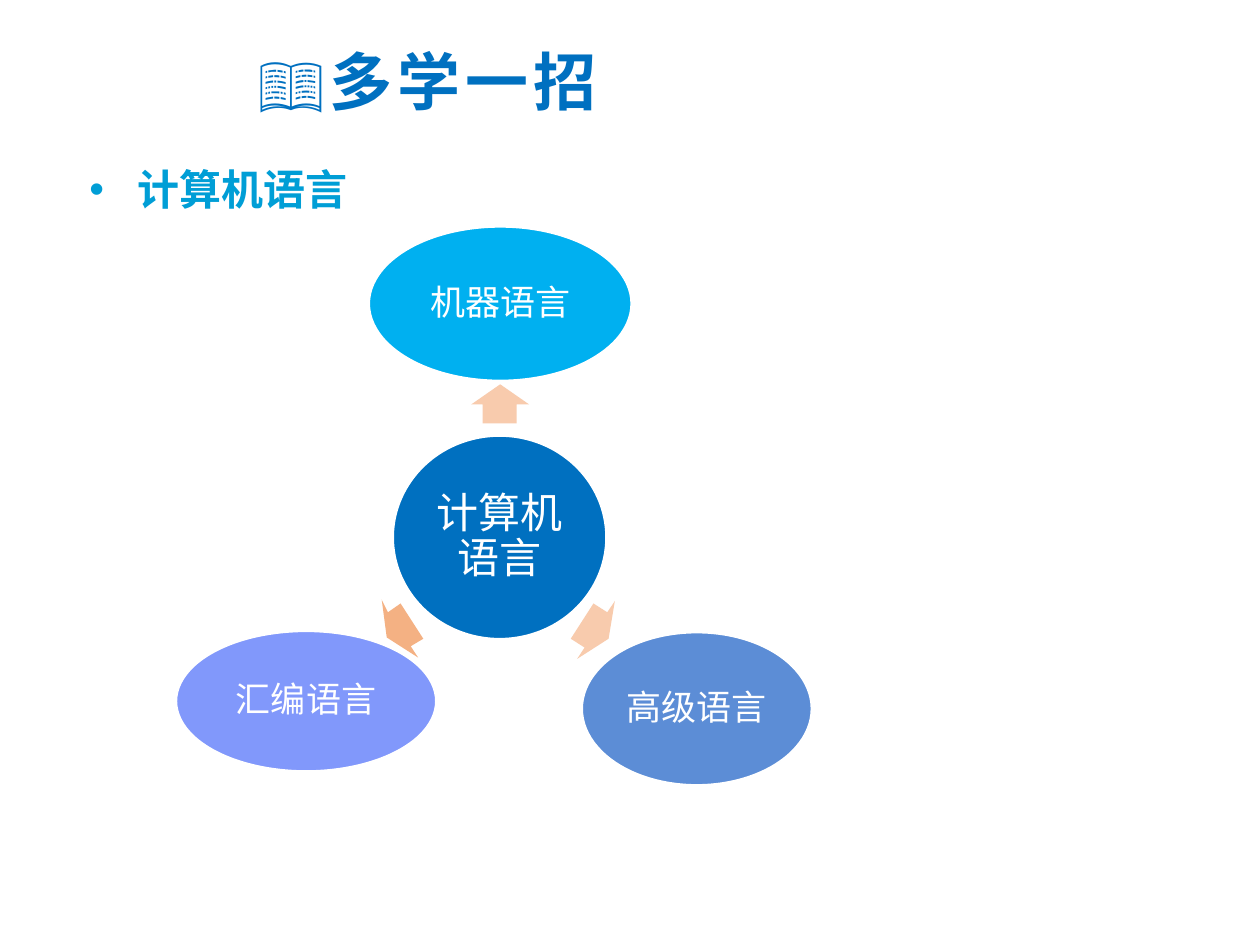
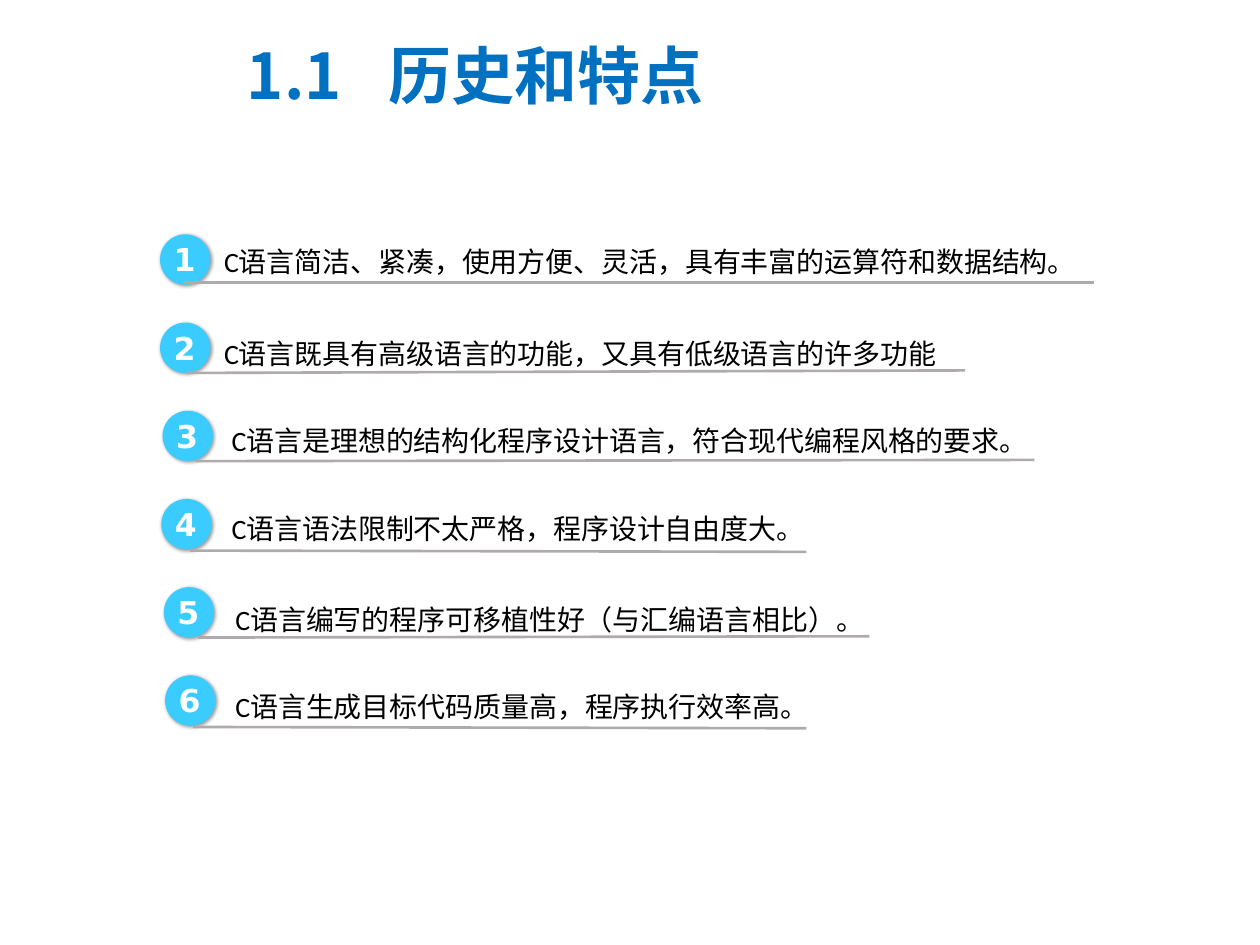
"""Build two slides on computer languages and the traits of the C language."""
import dataclasses
import typing

import lxml.etree
import pptx
import pptx.dml.color
import pptx.enum.shapes
import pptx.enum.text
import pptx.oxml.ns
import pptx.slide
import pptx.text.text
import pptx.util

Inches = pptx.util.Inches
Align = pptx.enum.text.PP_ALIGN
Anchor = pptx.enum.text.MSO_ANCHOR
Oval = pptx.enum.shapes.MSO_SHAPE.OVAL
Point = typing.Tuple[float, float]


@dataclasses.dataclass(frozen=True)
class Theme:
    title: str = "0070C0"
    topic: str = "009ED6"
    white: str = "FFFFFF"
    ink: str = "000000"
    disc: str = "3BCCFF"
    rule: str = "AFABAB"
    hub: str = "0070C0"
    machine: str = "00B0F0"
    high_level: str = "5C8DD6"
    assembly: str = "8198FB"
    arrow: str = "F8CBAD"
    arrow_dark: str = "F4B183"
    cjk: str = "Noto Sans CJK SC"
    latin: str = "Calibri"
    digit: str = "DejaVu Sans"
    title_size: int = 36
    topic_size: int = 24
    node_size: int = 20
    digit_size: int = 18
    trait_size: int = 16


THEME = Theme()


@dataclasses.dataclass(frozen=True)
class Box:
    left: float
    top: float
    width: float
    height: float

    def lengths(self) -> typing.Tuple[int, ...]:
        return tuple(Inches(value) for value in dataclasses.astuple(self))


@dataclasses.dataclass(frozen=True)
class Node:
    text: str
    box: Box
    color: str
    size: int = THEME.node_size


@dataclasses.dataclass(frozen=True)
class Arrow:
    color: str
    points: typing.Tuple[Point, ...]


@dataclasses.dataclass(frozen=True)
class Trait:
    text: str
    disc_left: float
    text_box: Box
    rule_start: Point
    rule_end: Point


NODES = (
    Node("计算机语言", Box(3.12, 3.46, 1.69, 1.61), THEME.hub, THEME.topic_size),
    Node("机器语言", Box(2.93, 1.8, 2.08, 1.22), THEME.machine),
    Node("高级语言", Box(4.62, 5.02, 1.82, 1.21), THEME.high_level),
    Node("汇编语言", Box(1.4, 5.01, 2.06, 1.11), THEME.assembly),
)

ARROWS = (
    Arrow(THEME.arrow, ((3.83, 3.36), (3.83, 3.21), (3.74, 3.21), (3.97, 3.05),
                        (4.2, 3.21), (4.1, 3.21), (4.1, 3.36))),
    Arrow(THEME.arrow, ((4.71, 4.79), (4.82, 4.86), (4.88, 4.77), (4.83, 5.07),
                        (4.58, 5.23), (4.64, 5.14), (4.53, 5.07))),
    Arrow(THEME.arrow_dark, ((3.36, 5.07), (3.26, 5.13), (3.32, 5.22), (3.07, 5.06),
                             (3.03, 4.76), (3.08, 4.86), (3.18, 4.79))),
)

TRAITS = (
    Trait("C语言简洁、紧凑，使用方便、灵活，具有丰富的运算符和数据结构。",
          1.27, Box(1.68, 1.81, 7.1, 0.45), (1.46, 2.24), (8.68, 2.24)),
    Trait("C语言既具有高级语言的功能，又具有低级语言的许多功能",
          1.27, Box(1.68, 2.54, 5.97, 0.41), (1.48, 2.96), (7.66, 2.94)),
    Trait("C语言是理想的结构化程序设计语言，符合现代编程风格的要求。",
          1.29, Box(1.74, 3.23, 6.65, 0.45), (1.55, 3.66), (8.21, 3.65)),
    Trait("C语言语法限制不太严格，程序设计自由度大。",
          1.28, Box(1.74, 3.93, 4.85, 0.45), (1.51, 4.37), (6.4, 4.38)),
    Trait("C语言编写的程序可移植性好（与汇编语言相比）。",
          1.3, Box(1.77, 4.65, 5.3, 0.41), (1.57, 5.06), (6.9, 5.05)),
    Trait("C语言生成目标代码质量高，程序执行效率高。",
          1.31, Box(1.77, 5.34, 4.85, 0.41), (1.53, 5.77), (6.4, 5.78)),
)
FIRST_DISC_TOP = 1.86
DISC_PITCH = 0.7
DISC_SIZE = 0.4


def rgb(color: str) -> pptx.dml.color.RGBColor:
    return pptx.dml.color.RGBColor.from_string(color)


def add_xml(parent: typing.Any, tag: str, **attributes: str) -> typing.Any:
    return lxml.etree.SubElement(parent, pptx.oxml.ns.qn(tag), attributes)


def write_text(frame: pptx.text.text.TextFrame, text: str, *, size: int, color: str,
               font: str = THEME.cjk, bold: bool = False, align: Align = Align.LEFT,
               anchor: Anchor = Anchor.TOP, wrap: bool = True, line_spacing: float = 1.0,
               space_after: int = 0, hanging: float = 0, bullet: str = "",
               tracking: int = 0) -> None:
    frame.word_wrap = wrap
    sizing = pptx.enum.text.MSO_AUTO_SIZE
    frame.auto_size = sizing.NONE if wrap else sizing.SHAPE_TO_FIT_TEXT
    frame.vertical_anchor = anchor
    para = frame.paragraphs[0]
    para.alignment = align
    para.line_spacing = line_spacing
    para.space_before = pptx.util.Pt(0)
    para.space_after = pptx.util.Pt(space_after)
    properties = para._p.get_or_add_pPr()
    properties.set("marL", str(Inches(hanging)))
    properties.set("indent", str(-Inches(hanging)))
    if bullet:
        add_xml(properties, "a:buChar", char=bullet)
    span = para.add_run()
    span.text = text
    span.font.size = pptx.util.Pt(size)
    span.font.bold = bold
    span.font.name = font
    span.font.color.rgb = rgb(color)
    run_properties = span._r.get_or_add_rPr()
    add_xml(run_properties, "a:ea", typeface=THEME.cjk)
    if tracking:
        run_properties.set("spc", str(tracking * 100))


def place(shape: typing.Any, box: Box) -> None:
    shape.left, shape.top, shape.width, shape.height = box.lengths()


def write_title(slide: pptx.slide.Slide, text: str, box: Box, tracking: int = 0) -> None:
    title = slide.shapes.title
    place(title, box)
    write_text(title.text_frame, text, size=THEME.title_size, color=THEME.title, bold=True,
               anchor=Anchor.MIDDLE, hanging=0.62, tracking=tracking)


def paint(shape: typing.Any, color: str) -> None:
    shape.shadow.inherit = False
    shape.fill.solid()
    shape.fill.fore_color.rgb = rgb(color)
    shape.line.fill.background()


def draw_node(slide: pptx.slide.Slide, node: Node) -> None:
    oval = slide.shapes.add_shape(Oval, *node.box.lengths())
    paint(oval, node.color)
    oval.line.color.rgb = rgb(THEME.white)
    oval.line.width = pptx.util.Pt(1)
    frame = oval.text_frame
    frame.margin_left = frame.margin_right = frame.margin_top = frame.margin_bottom = 0
    write_text(frame, node.text, size=node.size, color=THEME.white,
               align=Align.CENTER, anchor=Anchor.MIDDLE, line_spacing=0.9)


def draw_arrow(slide: pptx.slide.Slide, arrow: Arrow) -> None:
    corners = [(Inches(x), Inches(y)) for x, y in arrow.points]
    builder = slide.shapes.build_freeform(*corners[0])
    builder.add_line_segments(corners[1:], close=True)
    paint(builder.convert_to_shape(), arrow.color)


def draw_disc(slide: pptx.slide.Slide, number: int, left: float, top: float) -> None:
    disc = slide.shapes.add_shape(Oval, *Box(left, top, DISC_SIZE, DISC_SIZE).lengths())
    disc.rotation = 9.6
    paint(disc, THEME.disc)
    effects = disc._element.spPr.find(pptx.oxml.ns.qn("a:effectLst"))
    shadow = add_xml(effects, "a:outerShdw", blurRad=str(pptx.util.Pt(2)),
                     dist=str(pptx.util.Pt(1)), dir="2700000", algn="ctr", rotWithShape="0")
    add_xml(add_xml(shadow, "a:srgbClr", val=THEME.ink), "a:alpha", val="40000")
    digit = slide.shapes.add_textbox(*Box(left + 0.01, top, 0.38, DISC_SIZE).lengths())
    write_text(digit.text_frame, str(number), size=THEME.digit_size, color=THEME.white,
               font=THEME.digit, bold=True, wrap=False)


def draw_rule(slide: pptx.slide.Slide, start: Point, end: Point) -> None:
    rule = slide.shapes.add_connector(
        pptx.enum.shapes.MSO_CONNECTOR.STRAIGHT, *(Inches(value) for value in start + end))
    rule.line.color.rgb = rgb(THEME.rule)
    rule.line.width = pptx.util.Pt(1.5)
    add_xml(rule._element.spPr, "a:effectLst")


def draw_trait(slide: pptx.slide.Slide, index: int, trait: Trait) -> None:
    draw_disc(slide, index + 1, trait.disc_left, FIRST_DISC_TOP + index * DISC_PITCH)
    draw_rule(slide, trait.rule_start, trait.rule_end)
    box = slide.shapes.add_textbox(*trait.text_box.lengths())
    write_text(box.text_frame, trait.text, size=THEME.trait_size, color=THEME.ink,
               font=THEME.latin, wrap=False, line_spacing=1.3, space_after=3)


def build_languages(deck: typing.Any) -> None:
    slide = deck.slides.add_slide(deck.slide_layouts[1])
    write_title(slide, "📖多学一招", Box(1.95, 0.22, 3.34, 0.84), tracking=3)
    topic = slide.placeholders[1]
    place(topic, Box(0.61, 1.05, 2.27, 0.71))
    write_text(topic.text_frame, "计算机语言", size=THEME.topic_size, color=THEME.topic,
               bold=True, line_spacing=1.5, hanging=0.38, bullet="•")
    for node in NODES:
        draw_node(slide, node)
    for arrow in ARROWS:
        draw_arrow(slide, arrow)


def build_traits(deck: typing.Any) -> None:
    slide = deck.slides.add_slide(deck.slide_layouts[5])
    write_title(slide, "1.1\t历史和特点", Box(1.86, 0.17, 5.63, 0.84))
    for index, trait in enumerate(TRAITS):
        draw_trait(slide, index, trait)


def main() -> None:
    deck = pptx.Presentation()
    deck.slide_width, deck.slide_height = Inches(10), Inches(7.5)
    build_languages(deck)
    build_traits(deck)
    deck.save("out.pptx")


if __name__ == "__main__":
    main()
